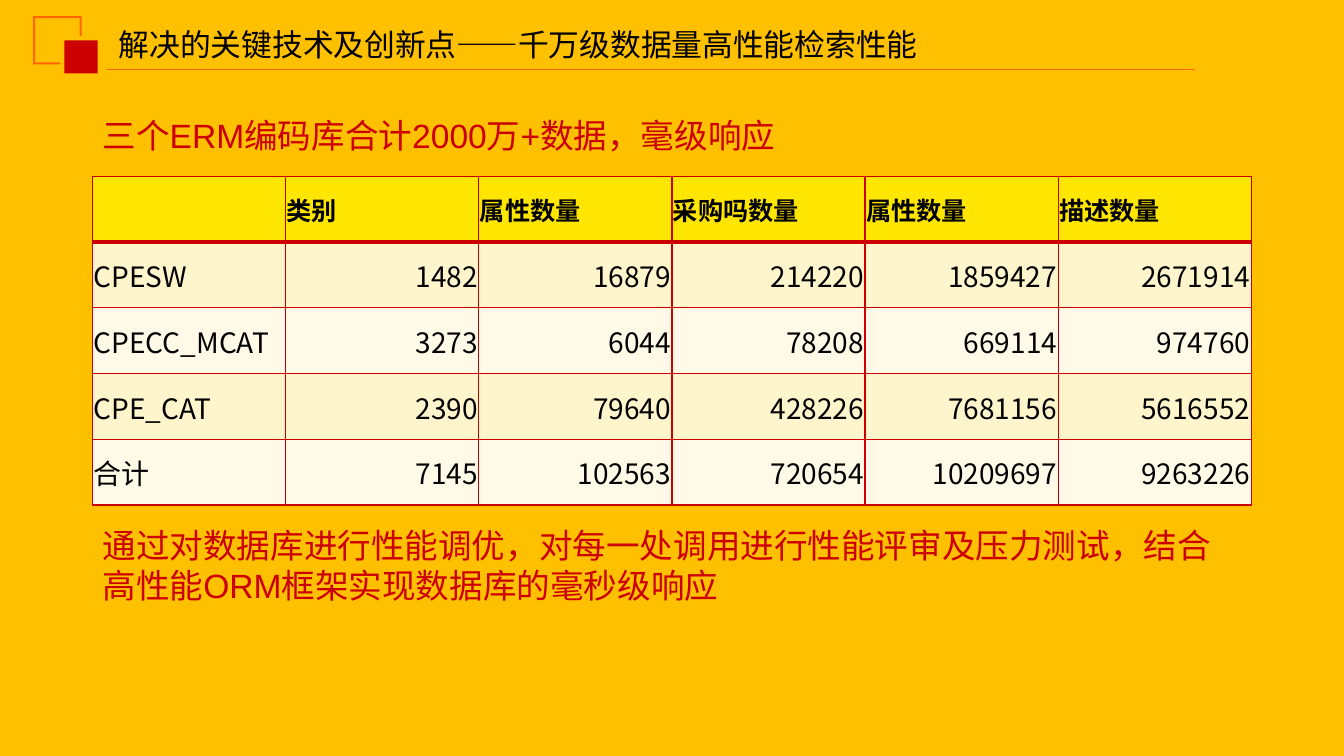
from lxml.etree import SubElement
from pptx import Presentation
from pptx.dml.color import RGBColor
from pptx.enum.shapes import MSO_CONNECTOR, MSO_SHAPE
from pptx.enum.text import MSO_ANCHOR, PP_ALIGN
from pptx.oxml.ns import qn
from pptx.util import Emu, Pt

PX = 9144  # 100 px to the inch
RED, ORANGE, BLACK = "CC0000", "FF6600", "000000"
HEAD_FILL, BAND_FILLS = "FFE600", ("FFF5CC", "FFFAE7")
CJK = "Noto Sans CJK SC"

ROWS = [
    ["", "类别", "属性数量", "采购吗数量", "属性数量", "描述数量"],
    ["CPESW", "1482", "16879", "214220", "1859427", "2671914"],
    ["CPECC_MCAT", "3273", "6044", "78208", "669114", "974760"],
    ["CPE_CAT", "2390", "79640", "428226", "7681156", "5616552"],
    ["合计", "7145", "102563", "720654", "10209697", "9263226"],
]


def px(*values):
    return [Emu(v * PX) for v in values]


def rgb(color):
    return RGBColor.from_string(color)


def paint(sp, color):
    sp.shadow.inherit = False
    sp.fill.solid()
    sp.fill.fore_color.rgb = rgb(color)
    sp.line.fill.background()


def write(p, text, size, color, font, bold=False):
    r = p.add_run()
    r.text = text
    p.font.size = Pt(size)
    p.font.bold = bold
    p.font.name = font
    p.font.color.rgb = rgb(color)
    # East Asian face for the Chinese characters
    SubElement(r._r.get_or_add_rPr(), qn("a:ea"), typeface=CJK)


def add_text(s, box, text, size, color, font, wrap=True, anchor=MSO_ANCHOR.MIDDLE):
    tf = s.shapes.add_textbox(*px(*box)).text_frame
    tf.word_wrap = wrap
    tf.vertical_anchor = anchor
    write(tf.paragraphs[0], text, size, color, font)


def add_emblem(s):
    # Open square frame behind a solid square
    points = [(60, 64), (33, 64), (33, 16), (81, 16), (81, 36),
              (79, 36), (79, 18), (35, 18), (35, 62), (60, 62)]
    outline = s.shapes.build_freeform(*points[0], scale=PX)
    outline.add_line_segments(points[1:], close=True)
    paint(outline.convert_to_shape(), ORANGE)
    paint(s.shapes.add_shape(MSO_SHAPE.RECTANGLE, *px(64, 40, 33, 33)), RED)


def add_rule(s, x1, y1, x2, y2):
    line = s.shapes.add_connector(MSO_CONNECTOR.STRAIGHT, *px(x1, y1, x2, y2))
    line.line.color.rgb = rgb(ORANGE)
    line.line.width = Pt(0.75)
    SubElement(line._element.spPr, qn("a:effectLst"))


def set_borders(cell, widths):
    tcPr = cell._tc.get_or_add_tcPr()
    for i, (side, width) in enumerate(widths.items()):
        ln = SubElement(tcPr, qn(f"a:ln{side}"), w=str(Pt(width)))
        fill = SubElement(ln, qn("a:solidFill"))
        SubElement(fill, qn("a:srgbClr"), val=RED)
        tcPr.insert(i, ln)  # borders come before the fill


def add_data_table(s, box, rows):
    left, top, width, height = px(*box)
    table = s.shapes.add_table(len(rows), len(rows[0]), left, top, width, height).table
    for col in table.columns:
        col.width = width // len(rows[0])
    for i, row in enumerate(rows):
        table.rows[i].height = height // len(rows)
        head = i == 0
        for j, text in enumerate(row):
            cell = table.cell(i, j)
            cell.margin_left, cell.margin_top, cell.margin_right, cell.margin_bottom = px(1, 1, 1, 0)
            cell.vertical_anchor = MSO_ANCHOR.MIDDLE
            cell.fill.solid()
            cell.fill.fore_color.rgb = rgb(HEAD_FILL if head else BAND_FILLS[(i - 1) % 2])
            set_borders(cell, {"L": 1, "R": 1, "T": 3 if i == 1 else 1, "B": 3 if head else 1})
            p = cell.text_frame.paragraphs[0]
            if text:
                write(p, text, 18 if head else 20, BLACK, CJK, bold=head)
            if j and not head:
                p.alignment = PP_ALIGN.RIGHT


def main():
    prs = Presentation()
    prs.slide_width, prs.slide_height = px(1334, 750)
    s = prs.slides.add_slide(prs.slide_layouts[6])
    s.background.fill.solid()
    s.background.fill.fore_color.rgb = rgb("FFC000")

    # Header
    add_text(s, (108, 21, 827, 47), "解决的关键技术及创新点——千万级数据量高性能检索性能",
             22, BLACK, CJK, wrap=False, anchor=MSO_ANCHOR.TOP)
    add_emblem(s)
    add_rule(s, 106, 69, 1186, 69)

    # Figures between the claim and the method
    add_text(s, (92, 99, 1150, 69), "三个ERM编码库合计2000万+数据，毫级响应", 24, RED, "Arial")
    add_data_table(s, (92, 175, 1150, 326), ROWS)
    add_text(s, (92, 526, 1150, 69),
             "通过对数据库进行性能调优，对每一处调用进行性能评审及压力测试，"
             "结合高性能ORM框架实现数据库的毫秒级响应", 24, RED, "Arial")

    prs.save("out.pptx")


if __name__ == "__main__":
    main()
